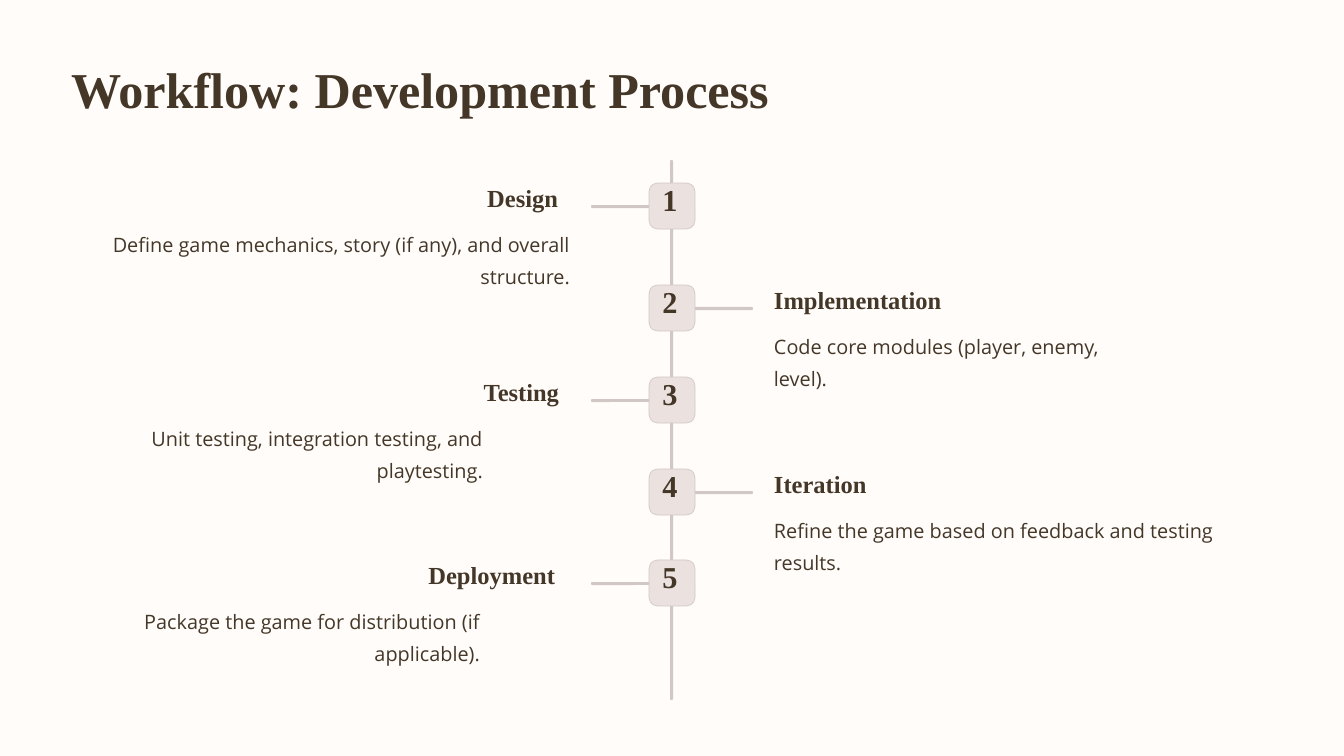
from dataclasses import dataclass
from pptx import Presentation
from pptx.dml.color import RGBColor
from pptx.enum.shapes import MSO_SHAPE
from pptx.enum.text import MSO_ANCHOR, MSO_AUTO_SIZE, PP_ALIGN
from pptx.util import Pt

TITLE = "Workflow: Development Process"
# name, note, node top, outer edge of name, inner edge of note, note width
STEPS = [
    ("Design", "Define game mechanics, story (if any), and overall structure.", 183, 558, 570, 499),
    ("Implementation", "Code core modules (player, enemy, level).", 285, 774, 774, 350),
    ("Testing", "Unit testing, integration testing, and playtesting.", 377, 559, 483, 351),
    ("Iteration", "Refine the game based on feedback and testing results.", 469, 774, 774, 480),
    ("Deployment", "Package the game for distribution (if applicable).", 560, 555, 480, 355),
]


@dataclass(frozen=True)
class Theme:
    paper: str = "FFFCFA"
    ink: str = "443728"
    rule: str = "D1C8C6"
    node: str = "EBE2E0"
    serif: str = "Times New Roman"
    sans: str = "Open Sans"
    title: int = 43
    digit: int = 26
    name: int = 21
    note: int = 17


THEME = Theme()
WIDE, HIGH = 1344, 756
NODE, STEM, BAR = 46, 61, 3
MID = WIDE // 2


def px(size):
    return round(size * 914400 / 84)


def tint(code):
    return RGBColor.from_string(code)


def write(box, text, size, lead, font, bold, align):
    frame = box.text_frame
    frame.word_wrap = True
    frame.auto_size = MSO_AUTO_SIZE.NONE
    frame.vertical_anchor = MSO_ANCHOR.TOP
    frame.margin_left = frame.margin_right = 0
    frame.margin_top = frame.margin_bottom = 0
    line = frame.paragraphs[0]
    line.alignment = align
    line.line_spacing = Pt(lead)
    line.space_before = Pt(0)
    run = line.add_run()
    run.text = text
    run.font.size = Pt(size)
    run.font.name = font
    run.font.bold = bold
    run.font.color.rgb = tint(THEME.ink)


def label(slide, area, *style):
    write(slide.shapes.add_textbox(*map(px, area)), *style)


def block(slide, area, fill, curve, edge=None):
    shape = slide.shapes.add_shape(MSO_SHAPE.ROUNDED_RECTANGLE, *map(px, area))
    shape.shadow.inherit = False
    shape.adjustments[0] = curve
    shape.fill.solid()
    shape.fill.fore_color.rgb = tint(fill)
    if edge:
        shape.line.color.rgb = tint(edge)
        shape.line.width = Pt(0.6)
    else:
        shape.line.fill.background()


def step(slide, index, name, note, top, edge, side, width):
    left = index % 2 == 1
    align = PP_ALIGN.RIGHT if left else PP_ALIGN.LEFT
    stem = 591 if left else 692
    block(slide, (stem, top + 22, STEM, BAR), THEME.rule, 0.5)
    block(slide, (MID - NODE // 2, top, NODE, NODE), THEME.node, 0.187, THEME.rule)
    label(slide, (MID - 11, top + 4, 18, 31), str(index),
          THEME.digit, 26, THEME.serif, True, PP_ALIGN.CENTER)
    span = 190
    label(slide, (edge - span if left else edge, top - 2, span, 31), name,
          THEME.name, 27, THEME.serif, True, align)
    label(slide, (side - width if left else side, top + 42, width, 62), note,
          THEME.note, 27, THEME.sans, False, align)


def main():
    deck = Presentation()
    deck.slide_width, deck.slide_height = px(WIDE), px(HIGH)
    slide = deck.slides.add_slide(deck.slide_layouts[5])
    slide.background.fill.solid()
    slide.background.fill.fore_color.rgb = tint(THEME.paper)
    head = slide.shapes.title
    head.left, head.top, head.width, head.height = map(px, (71, 56, 781, 62))
    write(head, TITLE, THEME.title, 54, THEME.serif, True, PP_ALIGN.LEFT)
    block(slide, (MID - 2, 160, BAR, 540), THEME.rule, 0.5)
    for index, item in enumerate(STEPS, 1):
        step(slide, index, *item)
    deck.save("out.pptx")


if __name__ == "__main__":
    main()
